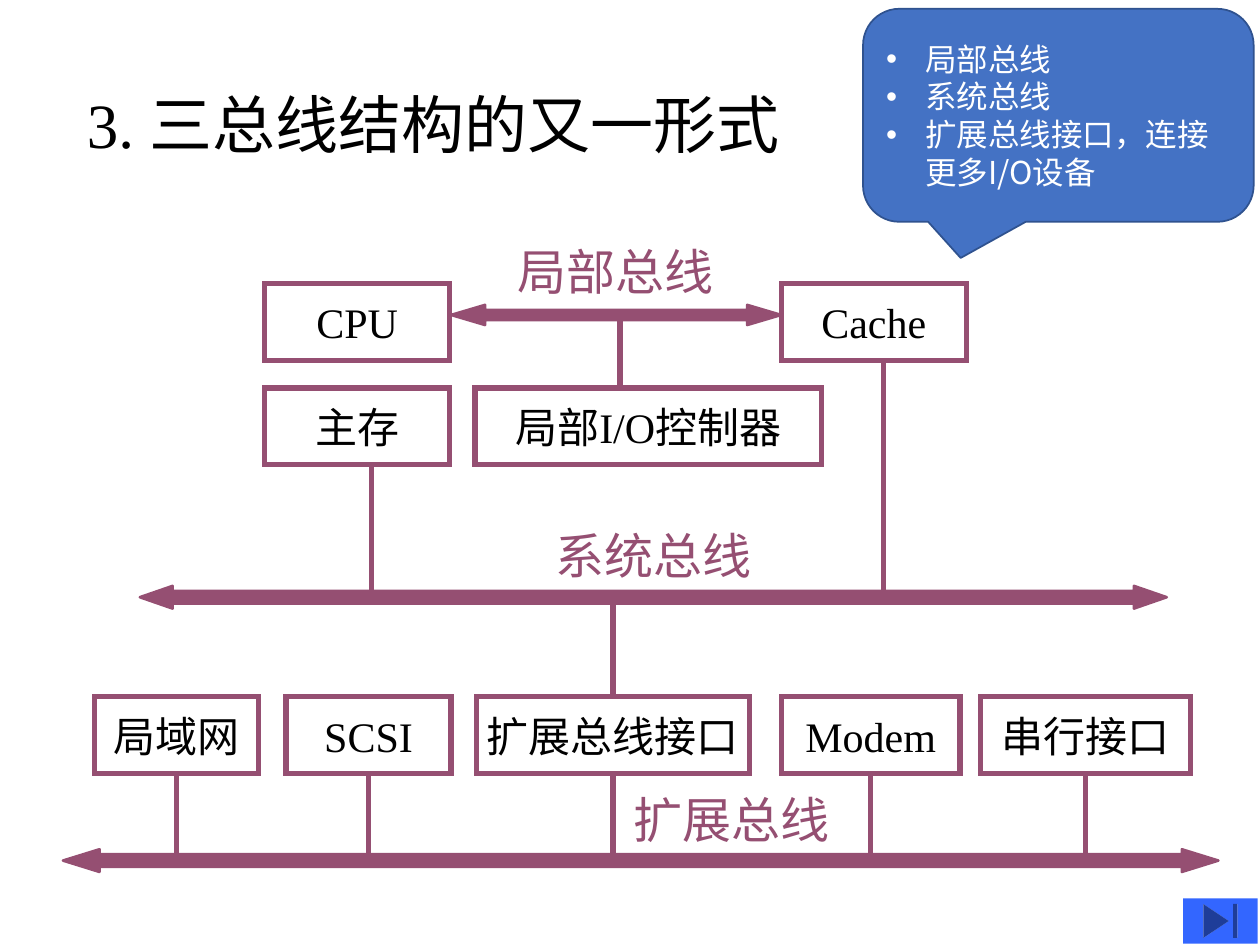
from dataclasses import dataclass

from lxml.etree import SubElement
from pptx import Presentation
from pptx.dml.color import RGBColor
from pptx.enum.shapes import MSO_CONNECTOR, MSO_SHAPE
from pptx.enum.text import MSO_ANCHOR, PP_ALIGN
from pptx.oxml.ns import qn
from pptx.util import Inches, Pt


@dataclass(frozen=True)
class Theme:
    bus: RGBColor = RGBColor(0x95, 0x4F, 0x72)
    text: RGBColor = RGBColor(0, 0, 0)
    callout: RGBColor = RGBColor(0x44, 0x72, 0xC4)
    callout_line: RGBColor = RGBColor(0x2F, 0x52, 0x8F)
    callout_text: RGBColor = RGBColor(0xFF, 0xFF, 0xFF)
    button: RGBColor = RGBColor(0x33, 0x66, 0xFF)
    latin_font: str = "Times New Roman"
    chinese_font: str = "Noto Sans CJK SC"
    title_size: int = 36
    bus_size: int = 28
    box_size: int = 24
    callout_size: int = 18
    wire_width: float = 3
    bus_width: float = 1.5


THEME = Theme()


def format_runs(paragraph, size, color, font):
    for run in paragraph.runs:
        run.font.size = Pt(size)
        run.font.color.rgb = color
        run.font.name = font
        east_asian = SubElement(run.font._element, qn("a:ea"))
        east_asian.set("typeface", THEME.chinese_font)


def add_label(slide, text, left, top, width, height, size, color, font, inset=(0, 0)):
    shape = slide.shapes.add_textbox(Inches(left), Inches(top), Inches(width), Inches(height))
    frame = shape.text_frame
    frame.margin_left = frame.margin_right = Inches(inset[0])
    frame.margin_top = frame.margin_bottom = Inches(inset[1])
    frame.word_wrap = False
    frame.text = text
    format_runs(frame.paragraphs[0], size, color, font)


def add_box(slide, text, left, top, width, font, height=0.61):
    shape = slide.shapes.add_shape(
        MSO_SHAPE.RECTANGLE, Inches(left), Inches(top), Inches(width), Inches(height))
    shape.shadow.inherit = False
    shape.fill.background()
    shape.line.color.rgb = THEME.bus
    shape.line.width = Pt(THEME.wire_width)
    SubElement(shape.line._get_or_add_ln(), qn("a:miter")).set("lim", "800000")
    frame = shape.text_frame
    frame.margin_left = frame.margin_right = 0
    frame.margin_top = frame.margin_bottom = 0
    frame.word_wrap = False
    frame.vertical_anchor = MSO_ANCHOR.MIDDLE
    frame.text = text
    frame.paragraphs[0].alignment = PP_ALIGN.CENTER
    format_runs(frame.paragraphs[0], THEME.box_size, THEME.text, font)
    return shape


def add_wire(slide, x, top, bottom):
    connector = slide.shapes.add_connector(MSO_CONNECTOR.STRAIGHT, x, Inches(top), x, Inches(bottom))
    connector.line.color.rgb = THEME.bus
    connector.line.width = Pt(THEME.wire_width)
    SubElement(connector._element.spPr, qn("a:effectLst"))
    return connector


def add_bus(slide, left, right, middle, head, half_head, half_shaft):
    """Double-headed bus arrow centred on the height `middle`."""
    inner_left, inner_right = left + head, right - head
    upper = [(inner_left, -half_head), (inner_left, -half_shaft),
             (inner_right, -half_shaft), (inner_right, -half_head)]
    lower = [(x, -offset) for x, offset in reversed(upper)]
    outline = [(left, 0), *upper, (right, 0), *lower]
    points = [(Inches(x), Inches(middle + offset)) for x, offset in outline]
    builder = slide.shapes.build_freeform(*points[0])
    builder.add_line_segments(points[1:], close=True)
    shape = builder.convert_to_shape()
    shape.shadow.inherit = False
    shape.fill.solid()
    shape.fill.fore_color.rgb = THEME.bus
    shape.line.color.rgb = THEME.bus
    shape.line.width = Pt(THEME.bus_width)


def add_bullet(paragraph, color):
    properties = paragraph._p.get_or_add_pPr()
    properties.set("marL", str(Inches(0.31)))
    properties.set("indent", str(-Inches(0.31)))
    bullet_color = SubElement(properties, qn("a:buClr"))
    SubElement(bullet_color, qn("a:srgbClr")).set("val", str(color))
    SubElement(properties, qn("a:buFont")).set("typeface", "Arial")
    SubElement(properties, qn("a:buChar")).set("char", "•")


def add_callout(slide, lines):
    shape = slide.shapes.add_shape(
        MSO_SHAPE.ROUNDED_RECTANGULAR_CALLOUT, Inches(6.85), Inches(0.07), Inches(3.1), Inches(1.69))
    for index, value in enumerate((-0.25, 0.67, 0.17)):
        shape.adjustments[index] = value
    shape.shadow.inherit = False
    shape.fill.solid()
    shape.fill.fore_color.rgb = THEME.callout
    shape.line.color.rgb = THEME.callout_line
    shape.line.width = Pt(1)
    frame = shape.text_frame
    frame.word_wrap = True
    frame.vertical_anchor = MSO_ANCHOR.MIDDLE
    frame.text = "\n".join(lines)
    for paragraph in frame.paragraphs:
        paragraph.alignment = PP_ALIGN.LEFT
        add_bullet(paragraph, THEME.callout_text)
        format_runs(paragraph, THEME.callout_size, THEME.callout_text, THEME.chinese_font)


def add_end_button(slide):
    shape = slide.shapes.add_shape(
        MSO_SHAPE.ACTION_BUTTON_END, Inches(9.39), Inches(7.13), Inches(0.59), Inches(0.36))
    shape.shadow.inherit = False
    shape.fill.solid()
    shape.fill.fore_color.rgb = THEME.button
    shape.line.fill.background()


def main():
    presentation = Presentation()
    presentation.slide_width, presentation.slide_height = Inches(10), Inches(7.5)
    slide = presentation.slides.add_slide(presentation.slide_layouts[6])
    latin, chinese = THEME.latin_font, THEME.chinese_font

    add_label(slide, "3. 三总线结构的又一形式", 0.59, 0.63, 5.82, 0.7,
              THEME.title_size, THEME.text, latin, inset=(0.1, 0.05))

    # Buses and their names
    add_bus(slide, 3.58, 6.2, 2.5, 0.27, 0.08, 0.04)
    add_bus(slide, 1.11, 9.26, 4.74, 0.26, 0.09, 0.05)
    add_bus(slide, 0.5, 9.67, 6.83, 0.29, 0.09, 0.05)
    for name, left, top in (("局部总线", 4.11, 1.92), ("系统总线", 4.41, 4.17), ("扩展总线", 5.03, 6.27)):
        add_label(slide, name, left, top, 1.62, 0.47, THEME.bus_size, THEME.bus, chinese)

    # Processor side, with wires to the local and system buses
    add_box(slide, "CPU", 2.1, 2.25, 1.47, latin)
    add_box(slide, "Cache", 6.2, 2.25, 1.47, latin)
    add_box(slide, "主存", 2.1, 3.08, 1.47, chinese)
    add_box(slide, "局部I/O控制器", 3.77, 3.08, 2.75, latin)
    for x, top, bottom in ((2.95, 3.69, 4.74), (7.01, 2.86, 4.74), (4.92, 2.5, 3.08)):
        add_wire(slide, Inches(x), top, bottom)

    # Devices on the expansion bus
    devices = (("局域网", 0.75, 1.3, chinese), ("SCSI", 2.27, 1.31, latin),
               ("扩展总线接口", 3.78, 2.17, chinese), ("Modem", 6.2, 1.42, latin),
               ("串行接口", 7.78, 1.67, chinese))
    boxes = {}
    for name, left, width, font in devices:
        box = boxes[name] = add_box(slide, name, left, 5.53, width, font)
        add_wire(slide, box.left + box.width // 2, 6.14, 6.83).begin_connect(box, 2)
    interface = boxes["扩展总线接口"]
    add_wire(slide, interface.left + interface.width // 2, 4.74, 5.53).end_connect(interface, 0)

    add_end_button(slide)
    add_callout(slide, ("局部总线", "系统总线", "扩展总线接口，连接更多I/O设备"))
    presentation.save("out.pptx")


if __name__ == "__main__":
    main()
